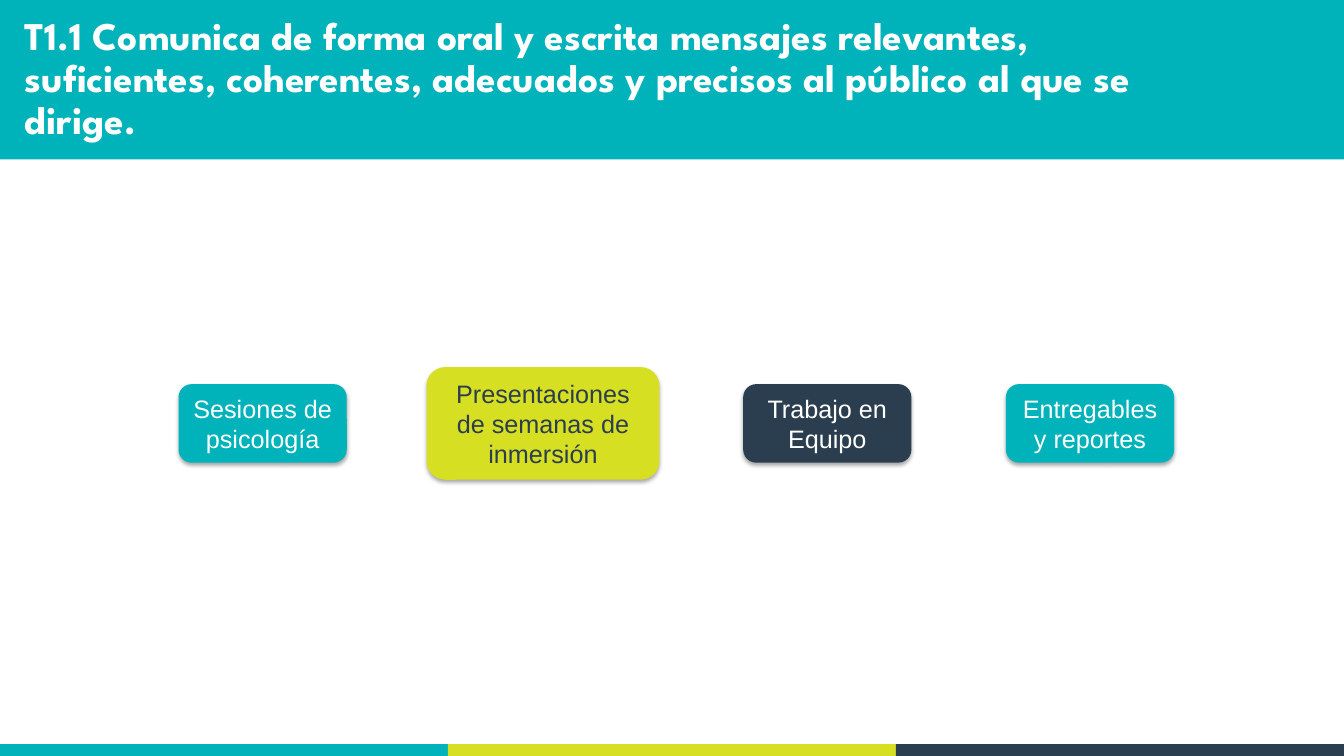
from dataclasses import dataclass

from lxml import etree
from pptx import Presentation
from pptx.dml.color import RGBColor as RGB
from pptx.enum.shapes import MSO_SHAPE as SHAPE
from pptx.enum.text import MSO_ANCHOR as ANCHOR, PP_ALIGN as ALIGN
from pptx.util import Cm, Pt


@dataclass(frozen=True)
class Theme:
    teal: RGB = RGB(0x00, 0xB2, 0xBA)
    lime: RGB = RGB(0xD7, 0xDF, 0x23)
    navy: RGB = RGB(0x2B, 0x3E, 0x4F)
    white: RGB = RGB(0xFF, 0xFF, 0xFF)
    title_font: str = "League Spartan"
    body_font: str = "Arial"
    title_size: Pt = Pt(28)
    body_size: Pt = Pt(18)


T = Theme()
SHADOW = (
    '<a:effectLst xmlns:a="http://schemas.openxmlformats.org/drawingml/2006/main">'
    '<a:outerShdw blurRad="40000" dist="23000" dir="5400000" rotWithShape="0">'
    '<a:srgbClr val="000000"><a:alpha val="35000"/></a:srgbClr>'
    '</a:outerShdw></a:effectLst>'
)


def add_block(kind, left, top, width, height, color):
    sp = slide.shapes.add_shape(kind, Cm(left), Cm(top), Cm(width), Cm(height))
    sp.shadow.inherit = False
    sp.fill.solid()
    sp.fill.fore_color.rgb = color
    sp.line.fill.background()
    return sp


def write(sp, text, font, size, color, bold=False):
    tf = sp.text_frame
    tf.word_wrap = True
    tf.vertical_anchor = ANCHOR.MIDDLE
    p = tf.paragraphs[0]
    p.text = text
    p.font.name, p.font.size, p.font.bold = font, size, bold
    p.font.color.rgb = color
    return p


prs = Presentation()
prs.slide_width, prs.slide_height = Cm(33.87), Cm(19.05)
slide = prs.slides.add_slide(prs.slide_layouts[6])

# Footer stripes
stripe_w = 33.87 / 3
for i, color in enumerate((T.teal, T.lime, T.navy)):
    add_block(SHAPE.RECTANGLE, i * stripe_w, 18.75, stripe_w, 0.3, color)

# Title band
add_block(SHAPE.RECTANGLE, 0, 0, 33.87, 4.02, T.teal)
title = slide.shapes.add_textbox(Cm(0.38), Cm(0.92), Cm(29.2), Cm(2.18))
p = write(
    title,
    "T1.1 Comunica de forma oral y escrita mensajes relevantes, suficientes, "
    "coherentes, adecuados y precisos al público al que se dirige.",
    T.title_font, T.title_size, T.white, bold=True,
)
p.line_spacing = 0.9

# Evidence cards, centred on one horizontal axis
axis = 10.67
cards = [
    ("Sesiones de psicología", 4.5, 4.24, 1.98, T.teal, T.white),
    ("Presentaciones de semanas de inmersión", 10.75, 5.87, 2.84, T.lime, T.navy),
    ("Trabajo en Equipo", 18.73, 4.24, 1.98, T.navy, T.white),
    ("Entregables y reportes", 25.35, 4.24, 1.98, T.teal, T.white),
]
for text, left, width, height, fill, ink in cards:
    card = add_block(SHAPE.ROUNDED_RECTANGLE, left, axis - height / 2, width, height, fill)
    sp_pr = card.element.spPr
    sp_pr.replace(sp_pr.find("{*}effectLst"), etree.fromstring(SHADOW))
    p = write(card, text, T.body_font, T.body_size, ink)
    p.alignment = ALIGN.CENTER

prs.save("out.pptx")
